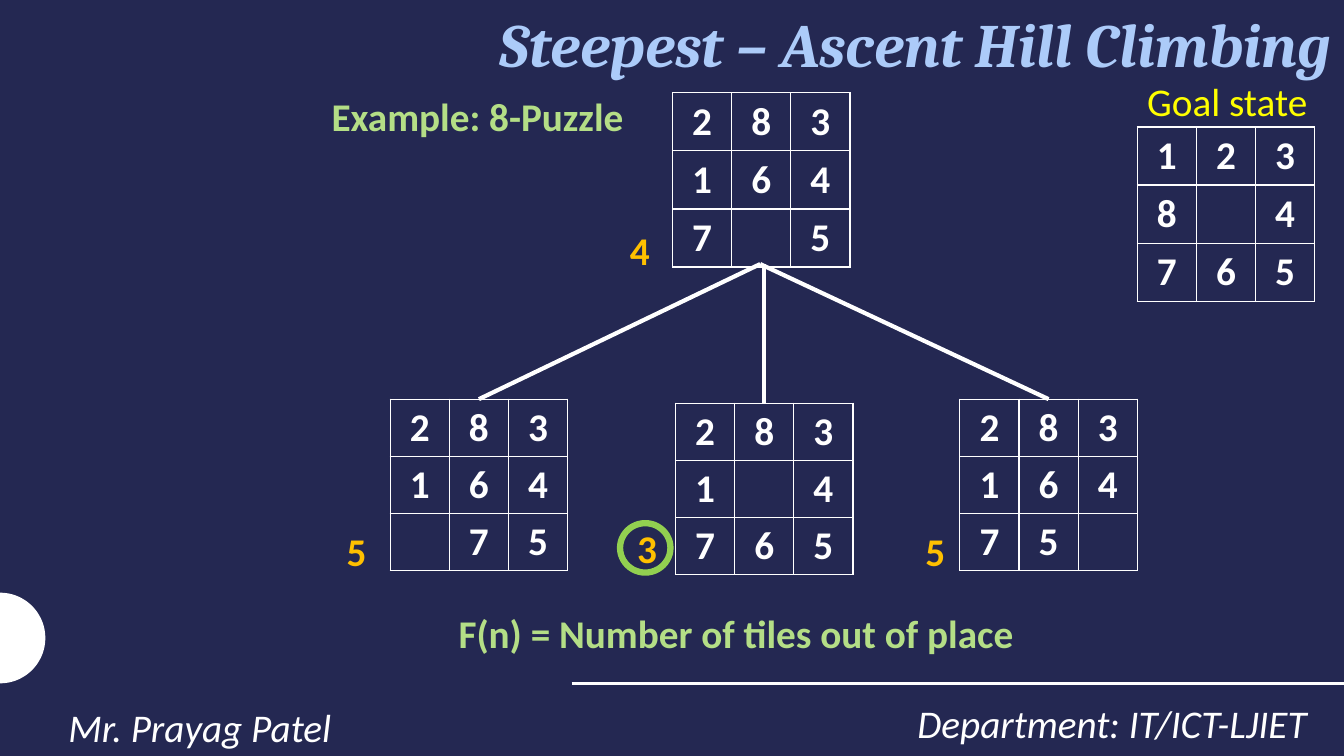
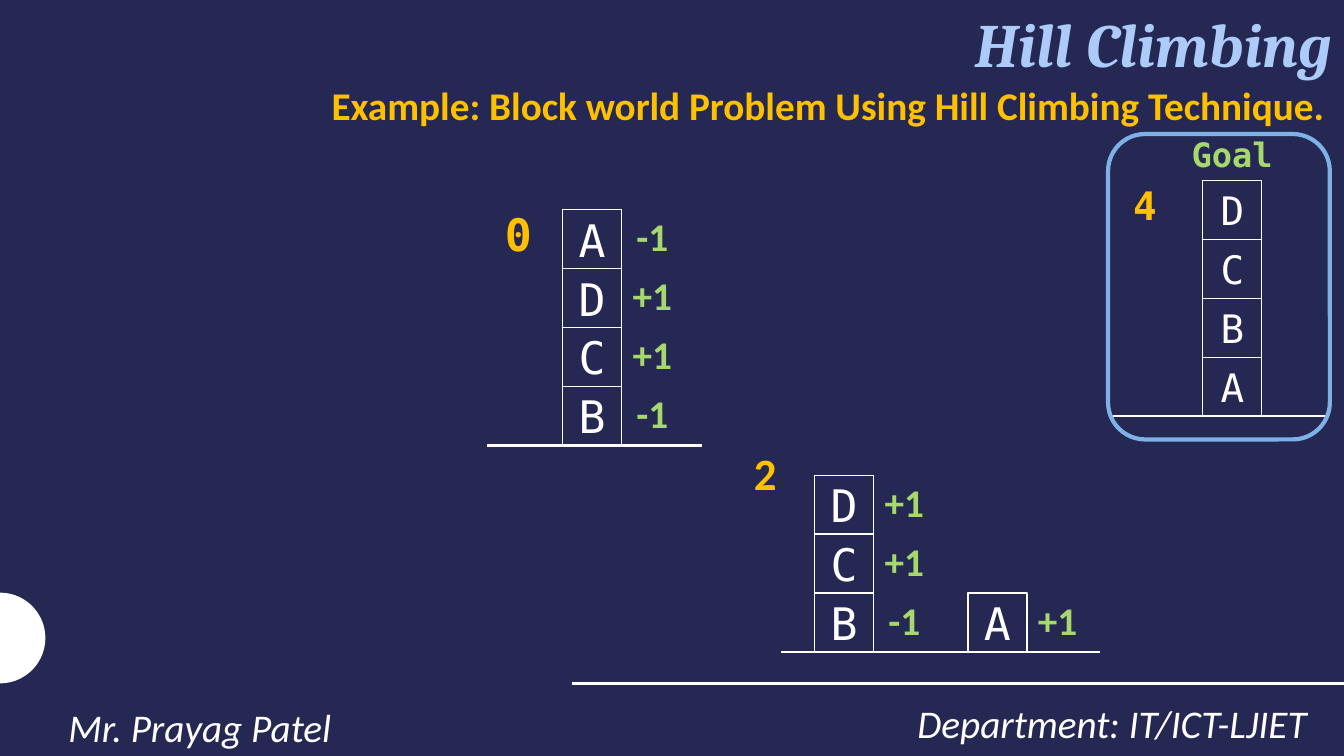
import math
from lxml import etree
from pptx import Presentation
from pptx import util as u
from pptx.dml.color import RGBColor
from pptx.enum import shapes, text
from pptx.oxml.ns import qn

COLORS = {
    "navy": "242852", "white": "FFFFFF", "title": "ACCBF9", "lime": "B4DE86",
    "yellow": "FFFF00", "amber": "FFC000", "ring": "92D050", "score": "A6D86E",
    "frame": "7EB2E6",
}
RGB = {name: RGBColor.from_string(value) for name, value in COLORS.items()}
SANS, SERIF, MONO = "Calibri", "Cambria", "DejaVu Sans Mono"
LEFT, CENTER, RIGHT = text.PP_ALIGN.LEFT, text.PP_ALIGN.CENTER, text.PP_ALIGN.RIGHT


def label(slide, box, words, color, size=28, font=SANS, bold=False, italic=False,
          align=LEFT, wrap=False, middle=False, framed=False):
    """Write one line of text, with a thin outline if framed."""
    area = [u.Inches(v) for v in box]
    if framed:
        holder = slide.shapes.add_shape(shapes.MSO_SHAPE.RECTANGLE, *area)
        holder.shadow.inherit = False
        holder.fill.background()
        holder.line.color.rgb = RGB["white"]
        holder.line.width = u.Pt(1)
    else:
        holder = slide.shapes.add_textbox(*area)
    frame = holder.text_frame
    frame.word_wrap = wrap
    frame.vertical_anchor = text.MSO_ANCHOR.MIDDLE if middle else text.MSO_ANCHOR.TOP
    line = frame.paragraphs[0]
    line.text = words
    line.alignment = align
    style = line.runs[0].font
    style.name, style.size, style.bold, style.italic = font, u.Pt(size), bold, italic
    style.color.rgb = RGB[color]
    return line


def rule(slide, start, end, width):
    """Draw a straight white line."""
    ends = [u.Inches(v) for v in start + end]
    line = slide.shapes.add_connector(shapes.MSO_CONNECTOR.STRAIGHT, *ends)
    line.line.color.rgb = RGB["white"]
    line.line.width = u.Pt(width)
    etree.SubElement(line._element.spPr, qn("a:effectLst"))


prs = Presentation()
prs.slide_width, prs.slide_height = u.Inches(13.33), u.Inches(7.5)
background = prs.slide_master.background.fill
background.solid()
background.fore_color.rgb = RGB["navy"]

# Shared title, half disc and footer
half_disc = [(u.Inches(0.45 * math.cos(math.radians(a))),
              u.Inches(6.33 + 0.45 * math.sin(math.radians(a))))
             for a in range(-90, 91, 5)]
for title in ("Steepest – Ascent Hill Climbing", "Hill Climbing"):
    slide = prs.slides.add_slide(prs.slide_layouts[6])
    outline = slide.shapes.build_freeform(*half_disc[0])
    outline.add_line_segments(half_disc[1:], close=True)
    disc = outline.convert_to_shape()
    disc.shadow.inherit = False
    disc.fill.solid()
    disc.fill.fore_color.rgb = RGB["white"]
    disc.line.fill.background()
    rule(slide, (5.67, 6.78), (13.33, 6.78), 2)
    department = label(slide, (8.08, 6.82, 4.98, 0.63), "Department: IT/ICT-LJIET",
                       "white", italic=True, align=RIGHT, wrap=True)
    author = label(slide, (0.58, 6.86, 7, 0.63), "Mr. Prayag Patel", "white",
                   italic=True, wrap=True)
    department.line_spacing = author.line_spacing = 1.14
    label(slide, (2.25, 0.01, 11.06, 1.11), title, "title", 44, SERIF,
          bold=True, italic=True, align=RIGHT, wrap=True)

puzzle_slide, blocks_slide = prs.slides

# 8-puzzle boards: left, top, height, rows of tiles (a dot is the gap)
boards = [
    (6.67, 0.92, 1.73, ("283", "164", "7.5")),
    (11.28, 1.26, 1.73, ("123", "8.4", "765")),
    (3.87, 3.96, 1.7, ("283", "164", ".75")),
    (6.7, 4, 1.7, ("283", "1.4", "765")),
    (9.52, 3.96, 1.7, ("283", "164", "75.")),
]
for left, top, height, rows in boards:
    board = puzzle_slide.shapes.add_table(
        3, 3, u.Inches(left), u.Inches(top), u.Inches(1.76), u.Inches(height)).table
    board.first_row = board.horz_banding = False
    for i in range(3):
        board.columns[i].width = u.Inches(1.76 / 3)
        board.rows[i].height = u.Inches(height / 3)
        for j in range(3):
            tile = board.cell(i, j)
            digit = tile.text_frame.paragraphs[0]
            digit.text = rows[i][j].replace(".", "")
            digit.alignment = CENTER
            for run in digit.runs:
                run.font.name, run.font.size, run.font.bold = SANS, u.Pt(28), True
                run.font.color.rgb = RGB["white"]
            borders = tile._tc.get_or_add_tcPr()
            for side in ("a:lnL", "a:lnR", "a:lnT", "a:lnB"):
                edge = etree.SubElement(borders, qn(side), w=str(u.Pt(1)))
                paint = etree.SubElement(edge, qn("a:solidFill"))
                etree.SubElement(paint, qn("a:srgbClr"), val=COLORS["white"])
            tile.fill.background()

# Branches from the start board to its successors
for start, end in (((7.54, 2.62), (4.75, 3.96)),
                   ((7.58, 2.62), (7.58, 4)),
                   ((7.54, 2.62), (10.4, 3.96))):
    rule(puzzle_slide, start, end, 3)

# Captions and heuristic values
label(puzzle_slide, (3.19, 0.87, 3.13, 0.57), "Example: 8-Puzzle", "lime", bold=True)
label(puzzle_slide, (11.28, 0.72, 2, 0.57), "Goal state", "yellow", wrap=True)
label(puzzle_slide, (4.45, 6, 5.77, 0.57), "F(n) = Number of tiles out of place",
      "lime", bold=True)
for left, top, value in ((6.22, 5.15, "3"), (3.34, 5.18, "5"),
                         (6.15, 2.2, "4"), (9.08, 5.18, "5")):
    label(puzzle_slide, (left, top, 0.4, 0.57), value, "amber", bold=True)

# Block stacks: left, ground, letters and scores from the bottom up, text size
label(blocks_slide, (3.19, 0.76, 10.13, 0.57),
      "Example: Block world Problem Using Hill Climbing Technique.", "amber",
      bold=True, wrap=True)
block = 2.34 / 4
stacks = [
    (5.58, 4.42, "BCDA", ("-1", "+1", "+1", "-1"), 32),
    (8.08, 6.47, "BCD", ("-1", "+1", "+1"), 32),
    (9.6, 6.47, "A", ("+1",), 32),
    (11.93, 4.13, "ABCD", (), 28),
]
for left, ground, letters, scores, size in stacks:
    for level, letter in enumerate(letters, 1):
        label(blocks_slide, (left, ground - level * block, block, block), letter,
              "white", size, MONO, align=CENTER, middle=True, framed=True)
    for level, score in enumerate(scores, 1):
        label(blocks_slide, (left + 0.5, ground - level * block - 0.03, 0.78, block),
              score, "score", bold=True, align=CENTER, middle=True)
for start, end, ground in ((4.83, 6.96, 4.42), (7.75, 10.91, 6.47), (11.04, 13.17, 4.13)):
    rule(blocks_slide, (start, ground), (end, ground), 1.5)

# State totals and goal caption
for left, top, width, words, color, size, font in (
        (4.91, 2, 0.5, "0", "amber", 32, MONO),
        (7.38, 4.37, 0.5, "2", "amber", 32, SANS),
        (11.14, 1.75, 0.5, "4", "amber", 28, MONO),
        (11.72, 1.28, 1, "Goal", "score", 24, MONO)):
    label(blocks_slide, (left, top, width, 0.57), words, color, size, font,
          bold=True, wrap=True)

# Ring around the best successor, frame around the goal
for slide, kind, box, color, width in (
        (puzzle_slide, shapes.MSO_SHAPE.OVAL, (6.15, 5.19, 0.5, 0.49), "ring", 4.5),
        (blocks_slide, shapes.MSO_SHAPE.ROUNDED_RECTANGLE,
         (10.99, 1.33, 2.2, 3.03), "frame", 3)):
    marker = slide.shapes.add_shape(kind, *[u.Inches(v) for v in box])
    marker.shadow.inherit = False
    marker.fill.background()
    marker.line.color.rgb = RGB[color]
    marker.line.width = u.Pt(width)

prs.save("out.pptx")
